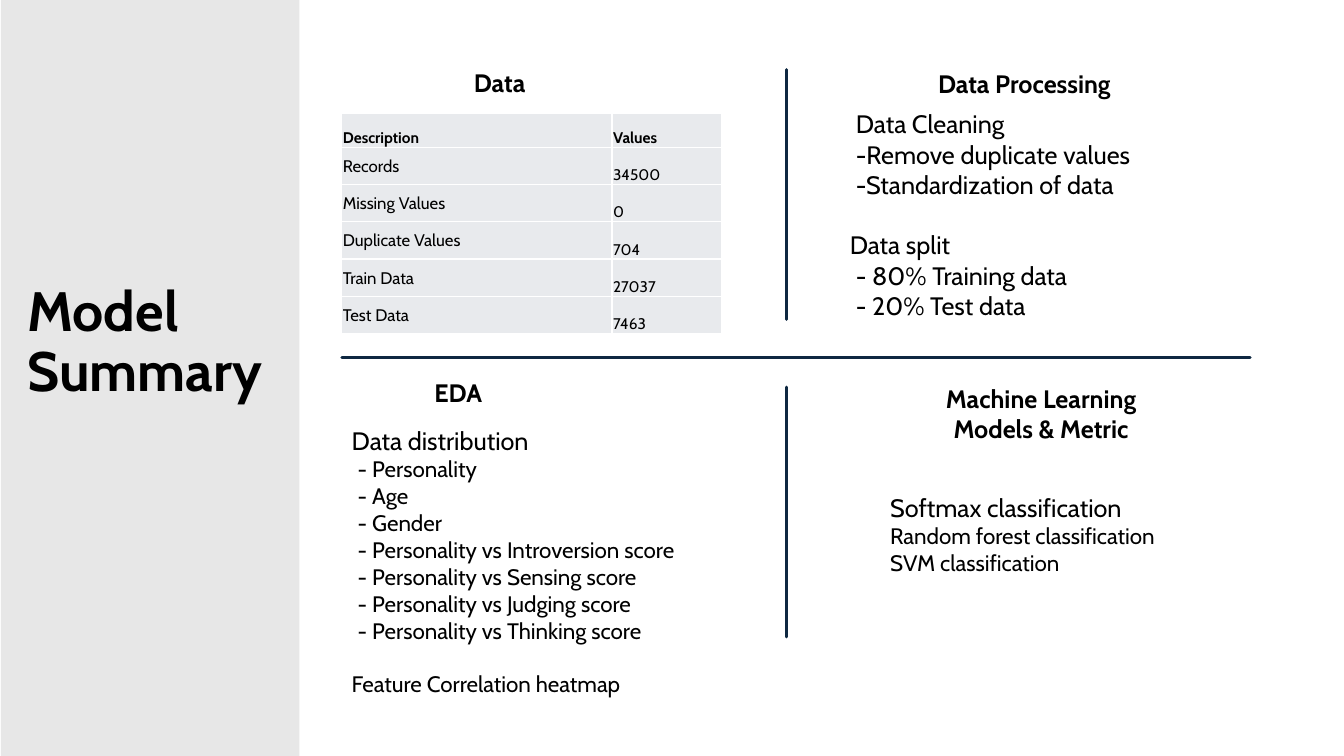
from dataclasses import dataclass

from lxml import etree
from pptx import Presentation
from pptx.dml.color import RGBColor as Rgb
from pptx.enum.shapes import MSO_CONNECTOR as Connector, MSO_SHAPE as Preset
from pptx.enum.text import MSO_ANCHOR as Anchor, MSO_AUTO_SIZE as AutoSize, PP_ALIGN as Align
from pptx.oxml import parse_xml
from pptx.oxml.ns import nsdecls, qn
from pptx.util import Pt

PX = 9144  # 100 px to the inch


@dataclass(frozen=True)
class Theme:
    font: str = "Cabin"
    ink: str = "000000"
    panel: str = "D1D1D1"
    rule: str = "0E2841"
    cell: str = "E8EAED"
    border: str = "FFFFFF"
    title: float = 39.6
    heading: float = 18
    item: float = 16
    label: float = 12
    value: float = 11


THEME = Theme()

DATA_ROWS = [
    ("Description", "Values"),
    ("Records", "34500"),
    ("Missing Values", "0"),
    ("Duplicate Values", "704"),
    ("Train Data", "27037"),
    ("Test Data", "7463"),
]
# Each line: text, size, left indent in px, space before in points
PROCESSING = [
    ("Data Cleaning", THEME.heading, 6, 0),
    ("-Remove duplicate values", THEME.heading, 6, 0),
    ("-Standardization of data", THEME.heading, 6, 0),
    ("Data split", THEME.heading, 0, 21.6),
    ("- 80% Training data", THEME.heading, 6, 0),
    ("- 20% Test data", THEME.heading, 6, 0),
]
EDA_ITEMS = ["Personality", "Age", "Gender"] + [
    f"Personality vs {trait} score"
    for trait in ("Introversion", "Sensing", "Judging", "Thinking")
]
EDA = [
    ("Data distribution", THEME.heading, 0, 0),
    *((f"- {item}", THEME.item, 6, 0) for item in EDA_ITEMS),
    ("Feature Correlation heatmap", THEME.item, 0, 19.2),
]
MODELS = [
    ("Softmax classification", THEME.heading, 0, 0),
    ("Random forest classification", THEME.item, 0, 0),
    ("SVM classification", THEME.item, 0, 0),
]


def px(*lengths):
    return [length * PX for length in lengths]


def style(para, size, bold=False):
    font = para.font
    font.name, font.size, font.bold = THEME.font, Pt(size), bold
    font.color.rgb = Rgb.from_string(THEME.ink)


def add_text(page, box, lines, bold=False, align=Align.LEFT):
    frame = page.shapes.add_textbox(*px(*box)).text_frame
    frame.word_wrap = True
    frame.auto_size = AutoSize.SHAPE_TO_FIT_TEXT
    for index, (text, size, indent, before) in enumerate(lines):
        para = frame.add_paragraph() if index else frame.paragraphs[0]
        para.text = text
        para.alignment = align
        para.space_before = Pt(before)
        if indent:
            para._p.get_or_add_pPr().set("marL", str(indent * PX))
        style(para, size, bold)


def add_heading(page, box, text):
    add_text(page, box, [(text, THEME.heading, 0, 0)], True, Align.CENTER)


def add_side_panel(page, box):
    left, top, width, height = box
    # Translucent panel, behind the title
    panel = page.shapes.add_shape(Preset.RECTANGLE, *px(*box))
    panel.shadow.inherit = False
    panel.fill.solid()
    panel.fill.fore_color.rgb = Rgb.from_string(THEME.panel)
    color = panel.element.spPr.find(qn("a:solidFill"))[0]
    etree.SubElement(color, qn("a:alpha"), val="50000")
    panel.line.fill.background()
    title = page.shapes.title
    title.element.addprevious(panel.element)

    # Title
    title.left, title.top, title.width, title.height = px(left + 16, top + 283, width - 23, 115)
    title.text = "Model Summary"
    frame = title.text_frame
    frame.word_wrap = True
    frame.auto_size = AutoSize.NONE
    frame.vertical_anchor = Anchor.MIDDLE
    para = frame.paragraphs[0]
    para.alignment = Align.LEFT
    para.line_spacing = 0.9
    style(para, THEME.title, True)


def add_rule(page, start, end):
    rule = page.shapes.add_connector(Connector.STRAIGHT, *px(*start, *end))
    rule.line.color.rgb = Rgb.from_string(THEME.rule)
    rule.line.width = Pt(2)
    rule.line._get_or_add_ln().set("cap", "rnd")
    etree.SubElement(rule.element.spPr, qn("a:effectLst"))


def add_dividers(page, box):
    left, top, width, height = box
    middle = left + 441
    add_rule(page, (middle, top), (middle, top + 248))
    add_rule(page, (left + width, top + 286), (left, top + 286))
    add_rule(page, (middle, top + height - 248), (middle, top + height))


def format_cell(cell, text, size, bold, anchor):
    cell.text = text
    cell.vertical_anchor = anchor
    cell.margin_left = cell.margin_top = cell.margin_right = PX
    cell.margin_bottom = 0
    style(cell.text_frame.paragraphs[0], size, bold)
    cell.fill.solid()
    cell.fill.fore_color.rgb = Rgb.from_string(THEME.cell)
    for index, side in enumerate(("lnL", "lnR", "lnT", "lnB")):
        border = parse_xml(
            f'<a:{side} {nsdecls("a")} w="12700"><a:solidFill>'
            f'<a:srgbClr val="{THEME.border}"/></a:solidFill></a:{side}>'
        )
        cell._tc.get_or_add_tcPr().insert(index, border)


def add_data(page, box):
    left, top, width, height = box
    add_heading(page, (left + 64, top, 185, 40), "Data")
    frame = page.shapes.add_table(len(DATA_ROWS), 2, *px(left, top + 51, width, height - 51))
    table = frame.table
    table.horz_banding = False
    table.columns[0].width, table.columns[1].width = px(width - 109, 109)
    for row, texts in enumerate(DATA_ROWS):
        header = row == 0
        table.rows[row].height = (37 if row else 33) * PX
        for column, text in enumerate(texts):
            label = column == 0 and not header
            format_cell(table.cell(row, column), text,
                        THEME.label if label else THEME.value, header,
                        Anchor.MIDDLE if label else Anchor.BOTTOM)


def add_processing(page, box):
    left, top, width, height = box
    add_heading(page, (left + 66, top, 234, 40), "Data Processing")
    add_text(page, (left, top + 40, width, height - 40), PROCESSING)


def add_eda(page, box):
    left, top, width, height = box
    add_heading(page, (left + 11, top, 209, 40), "EDA")
    add_text(page, (left, top + 48, width, height - 48), EDA)


def add_models(page, box):
    left, top, width, height = box
    add_heading(page, (left + 39, top, 241, 71), "Machine Learning Models & Metric")
    add_text(page, (left, top + 108, width, height - 108), MODELS)


def main():
    deck = Presentation()
    deck.slide_width, deck.slide_height = px(1333, 750)
    page = deck.slides.add_slide(deck.slide_layouts[5])
    add_side_panel(page, (1, 0, 296, 750))
    add_dividers(page, (339, 69, 901, 563))
    add_data(page, (339, 62, 377, 269))
    add_processing(page, (833, 63, 387, 262))
    add_eda(page, (339, 369, 376, 358))
    add_models(page, (873, 375, 376, 229))
    deck.save("out.pptx")


if __name__ == "__main__":
    main()
